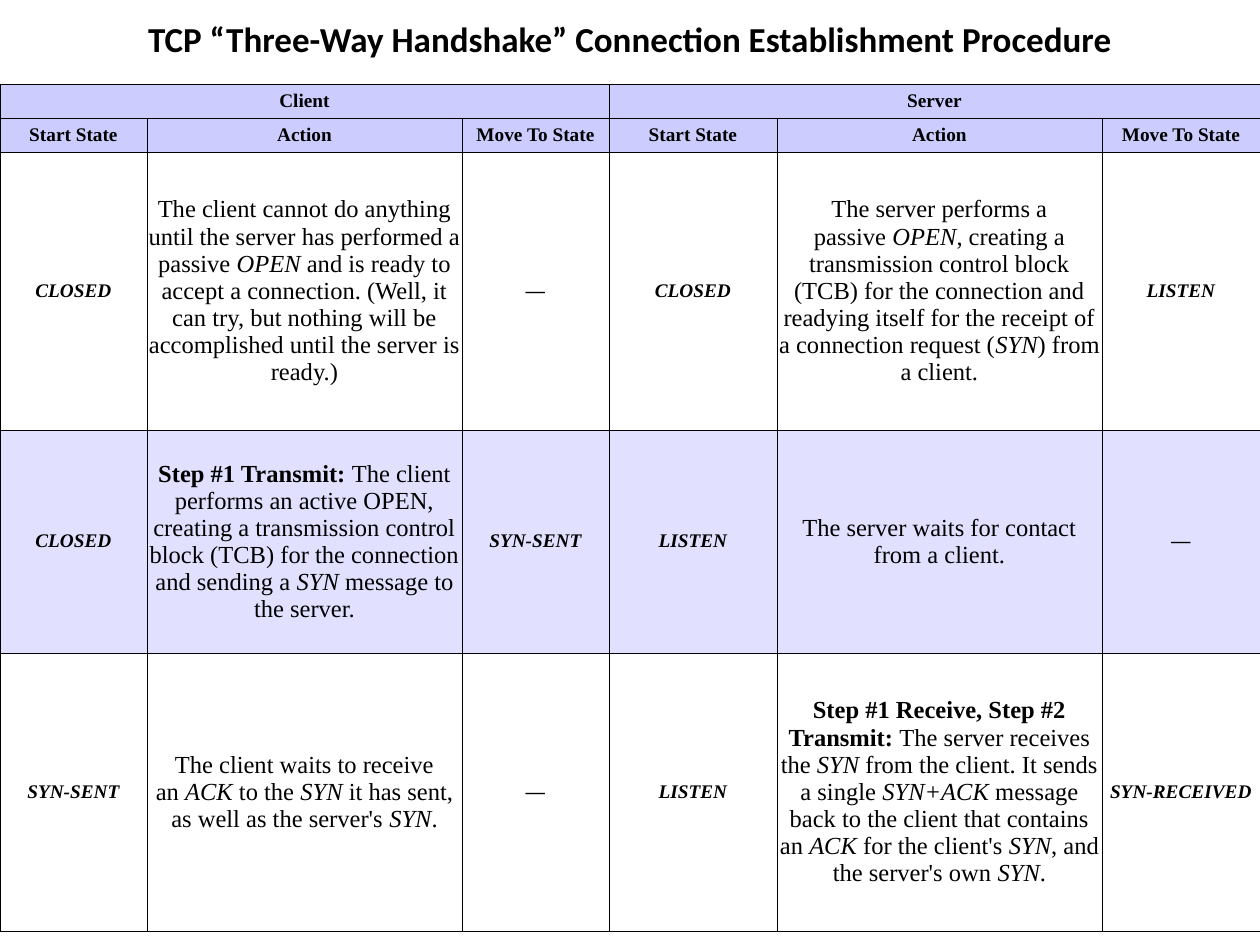
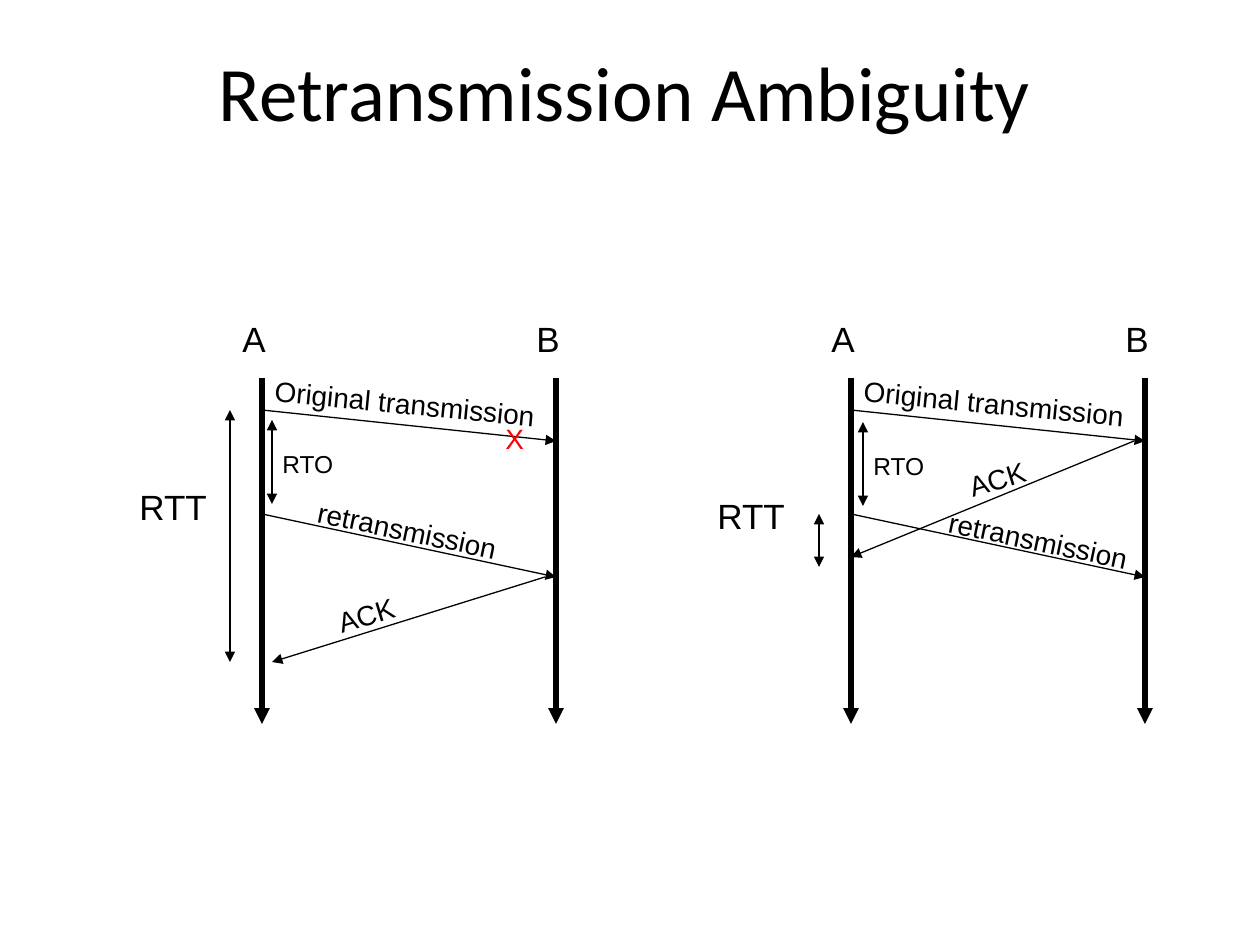
from lxml.etree import SubElement
from pptx import Presentation
from pptx.dml.color import RGBColor
from pptx.enum.shapes import MSO_CONNECTOR
from pptx.enum.text import MSO_ANCHOR, MSO_AUTO_SIZE, PP_ALIGN
from pptx.oxml import parse_xml
from pptx.oxml.ns import nsdecls, qn
from pptx.util import Emu, Pt

BLACK = RGBColor(0x00, 0x00, 0x00)
WHITE = RGBColor(0xFF, 0xFF, 0xFF)
RED = RGBColor(0xFF, 0x00, 0x00)
HEADER_LILAC = RGBColor(0xCC, 0xCC, 0xFF)
BAND_LILAC = RGBColor(0xE1, 0xE1, 0xFF)
TITLE_FONT, TABLE_FONT, LABEL_FONT = "Calibri", "Times New Roman", "Arial"
NBSP = chr(160)
PX_PER_INCH = 126
SLIDE_W, SLIDE_H = 1260, 945

# In table text, *bold* and _italic_ are marked, and ~ is a no-break space.
COLUMN_HEADS = ["Start State", "Action", "Move To State"] * 2
STEPS = [
    ["CLOSED",
     "The client cannot do anything until the server has performed a passive~_OPEN_~and is "
     "ready to accept a connection. (Well, it can try, but nothing will be accomplished "
     "until the server is ready.)",
     "—", "CLOSED",
     "The server performs a passive~_OPEN_, creating a transmission control block (TCB) for "
     "the connection and readying itself for the receipt of a connection request (_SYN_) "
     "from a client.",
     "LISTEN"],
    ["CLOSED",
     "*Step #1 Transmit:*~The client performs an active OPEN, creating a transmission control "
     "block (TCB) for the connection and sending a~_SYN_~message to the server.",
     "SYN-SENT", "LISTEN",
     "The server waits for contact from a client.",
     "—"],
    ["SYN-SENT",
     "The client waits to receive an~_ACK_~to the~_SYN_~it has sent, as well as the "
     "server's~_SYN_.",
     "—", "LISTEN",
     "*Step #1 Receive, Step #2 Transmit:*~The server receives the~_SYN_~from the client. It "
     "sends a single _SYN+ACK_~message back to the client that contains an _ACK_~for the "
     "client's~_SYN_, and the server's own~_SYN_.",
     "SYN-RECEIVED"],
]
COLUMN_WIDTHS = [147, 315, 147, 168, 325, 158]
ROW_HEIGHTS = [34, 34, 278, 223, 278]


def px(length):
    return Emu(round(length * 914400 / PX_PER_INCH))


def add_text(paragraph, text, *, size, font, color=BLACK, bold=False, italic=False):
    run = paragraph.add_run()
    run.text = text
    run.font.size, run.font.name = Pt(size), font
    run.font.bold, run.font.italic = bold, italic
    run.font.color.rgb = color


def add_title(slide, text, box, **style):
    title = slide.shapes.title
    title.left, title.top, title.width, title.height = map(px, box)
    frame = title.text_frame
    frame.auto_size = MSO_AUTO_SIZE.NONE
    frame.vertical_anchor = MSO_ANCHOR.MIDDLE
    frame.paragraphs[0].alignment = PP_ALIGN.CENTER
    add_text(frame.paragraphs[0], text, font=TITLE_FONT, **style)


# Handshake table
def border_cell(cell):
    properties = cell._tc.get_or_add_tcPr()
    for index, side in enumerate(("lnL", "lnR", "lnT", "lnB")):
        properties.insert(index, parse_xml(
            f'<a:{side} {nsdecls("a")} w="{Pt(0.45)}"><a:solidFill>'
            f'<a:srgbClr val="{BLACK}"/></a:solidFill></a:{side}>'))


def style_cell(cell, fill):
    cell.fill.solid()
    cell.fill.fore_color.rgb = fill
    cell.vertical_anchor = MSO_ANCHOR.MIDDLE
    cell.margin_left = cell.margin_right = px(1)
    cell.margin_top = cell.margin_bottom = px(6)
    border_cell(cell)


def write_cell(cell, marked_text, *, size=11, bold=False, italic=False):
    paragraph = cell.text_frame.paragraphs[0]
    paragraph.alignment = PP_ALIGN.CENTER
    for b, bold_part in enumerate(marked_text.replace("~", NBSP).split("*")):
        for i, part in enumerate(bold_part.split("_")):
            if part:
                add_text(paragraph, part, size=size, font=TABLE_FONT,
                         bold=bold or b % 2 == 1, italic=italic or i % 2 == 1)


def add_handshake_table(slide, left, top):
    table = slide.shapes.add_table(
        len(ROW_HEIGHTS), len(COLUMN_WIDTHS), px(left), px(top),
        px(sum(COLUMN_WIDTHS)), px(sum(ROW_HEIGHTS))).table
    table.first_row = table.horz_banding = False
    for column, width in zip(table.columns, COLUMN_WIDTHS):
        column.width = px(width)
    fills = [HEADER_LILAC, HEADER_LILAC, WHITE, BAND_LILAC, WHITE]
    for r, (height, fill) in enumerate(zip(ROW_HEIGHTS, fills)):
        table.rows[r].height = px(height)
        for cell in table.rows[r].cells:
            style_cell(cell, fill)

    # Header rows
    for first, party in ((0, "Client"), (3, "Server")):
        table.cell(0, first).merge(table.cell(0, first + 2))
        write_cell(table.cell(0, first), party, bold=True)
    for c, head in enumerate(COLUMN_HEADS):
        write_cell(table.cell(1, c), head, bold=True)

    # States are bold italic, actions larger and plain
    for r, step in enumerate(STEPS, start=2):
        for c, text in enumerate(step):
            if COLUMN_HEADS[c] == "Action":
                write_cell(table.cell(r, c), text, size=14)
            else:
                write_cell(table.cell(r, c), text, bold=True, italic=True)


# Message exchange diagrams
def add_arrow(shapes, start, end, *, weight=0.75, both_ends=False):
    arrow = shapes.add_connector(MSO_CONNECTOR.STRAIGHT, *map(px, (*start, *end)))
    arrow.line.color.rgb = BLACK
    arrow.line.width = Pt(weight)
    line = arrow.line._get_or_add_ln()
    for tip in (["headEnd"] if both_ends else []) + ["tailEnd"]:
        SubElement(line, qn(f"a:{tip}"), type="triangle")
    SubElement(arrow._element.spPr, qn("a:effectLst"))


def add_label(shapes, text, box, *, size=16, rotation=0, color=BLACK, wrap=False):
    label = shapes.add_textbox(*map(px, box))
    label.rotation = rotation
    frame = label.text_frame
    frame.word_wrap = wrap
    frame.auto_size = MSO_AUTO_SIZE.SHAPE_TO_FIT_TEXT
    add_text(frame.paragraphs[0], text, size=size, font=LABEL_FONT, color=color)


def add_exchange(shapes, left, top, *, ack, rtt, rto, ack_label, rtt_label,
                 rto_label, retransmission_label):
    """Draw hosts A and B; (left, top) is the start of A's time line."""
    host_gap = 294

    def at(x, y):
        return left + x, top + y

    # Time lines and host names
    for x, host in ((0, "A"), (host_gap, "B")):
        add_arrow(shapes, at(x, 0), at(x, 346), weight=3)
        add_label(shapes, host, (*at(x - 32, -67), 48, 55), size=20)

    # Messages
    add_arrow(shapes, at(0, 32), at(host_gap, 63))
    add_arrow(shapes, at(0, 136), at(host_gap, 199))
    add_arrow(shapes, at(*ack[0]), at(*ack[1]))
    add_label(shapes, "Original transmission", (*at(0, 2), 286, 47), rotation=5.5)
    add_label(shapes, "retransmission", (*at(*retransmission_label), 207, 47), rotation=11.8)
    add_label(shapes, "ACK", (*at(*ack_label), 88, 47), rotation=343.1)

    # Time spans
    for x, start, end in (rtt, rto):
        add_arrow(shapes, at(x, start), at(x, end), both_ends=True)
    add_label(shapes, "RTT", (*at(*rtt_label), 93, 55), size=20)
    add_label(shapes, "RTO", (*at(*rto_label), 77, 43), size=14)


def build_handshake_slide(slide):
    add_title(slide, "TCP “Three-Way Handshake” Connection Establishment Procedure",
              (63, 0, 1134, 78), size=20, bold=True)
    add_handshake_table(slide, 0, 84)


def build_ambiguity_slide(slide):
    add_title(slide, "Retransmission Ambiguity", (42, 49, 1166, 84), size=44)
    lost_left, delayed_left, top = 262, 851, 378
    # Original message lost: the ACK answers the retransmission
    add_exchange(slide.shapes, lost_left, top,
                 ack=((283, 199), (10, 284)), rtt=(-32, 284, 32), rto=(10, 42, 126),
                 ack_label=(63, 213), rtt_label=(-135, 101), rto_label=(8, 65),
                 retransmission_label=(42, 129))
    # ACK delayed: it answers the original message
    add_exchange(slide.shapes.add_group_shape().shapes, delayed_left, top,
                 ack=((283, 63), (0, 179)), rtt=(-32, 189, 136), rto=(12, 44, 128),
                 ack_label=(105, 77), rtt_label=(-146, 110), rto_label=(10, 67),
                 retransmission_label=(84, 139))
    # Loss mark
    add_label(slide.shapes, "X", (lost_left + 231, top + 37, 53, 47), color=RED, wrap=True)


def main():
    deck = Presentation()
    deck.slide_width, deck.slide_height = px(SLIDE_W), px(SLIDE_H)
    title_only = deck.slide_layouts[5]
    for build in (build_handshake_slide, build_ambiguity_slide):
        build(deck.slides.add_slide(title_only))
    deck.save("out.pptx")


if __name__ == "__main__":
    main()
